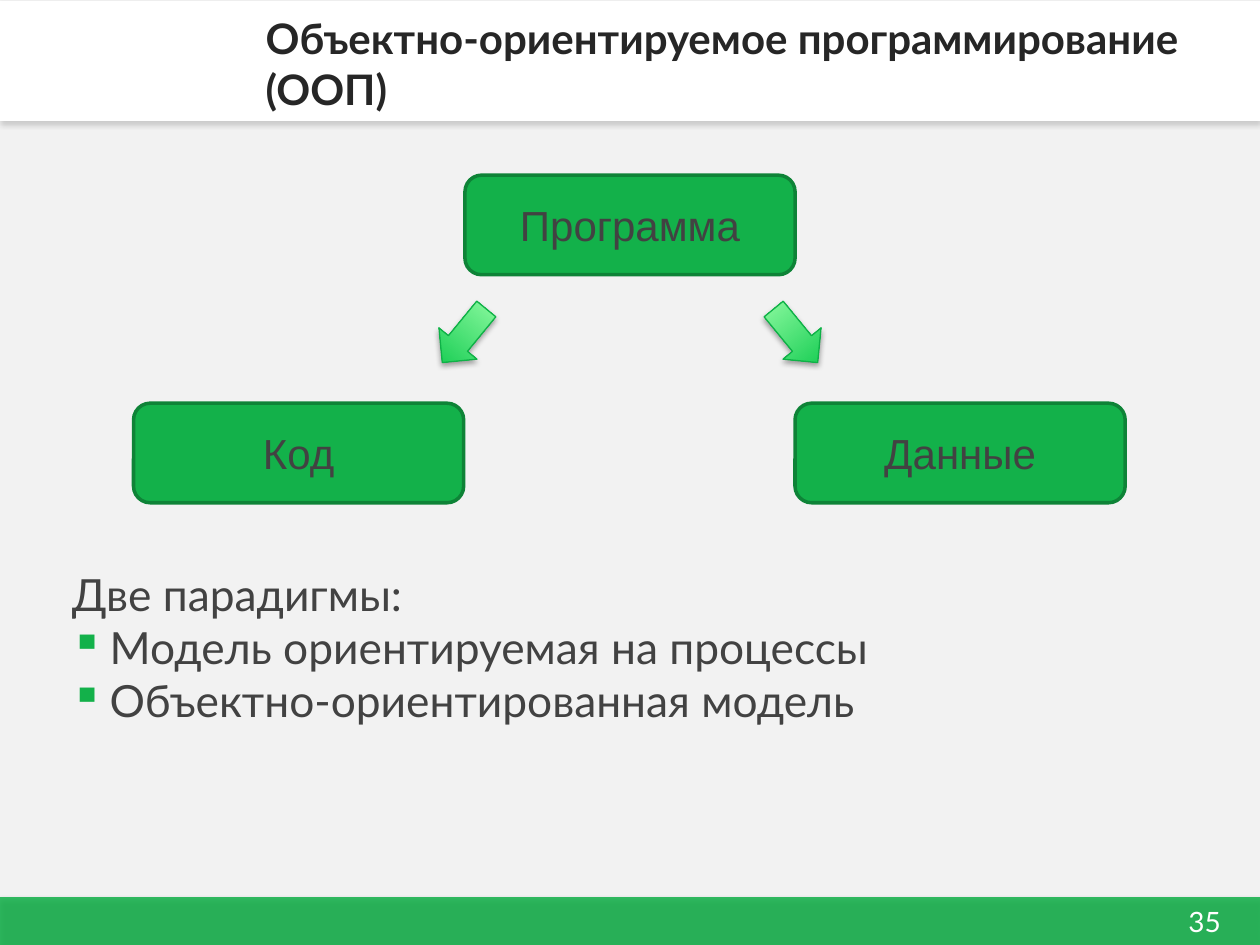
from lxml.etree import SubElement
from pptx import Presentation
from pptx.dml.color import RGBColor
from pptx.enum.shapes import MSO_SHAPE as Shape
from pptx.enum.text import MSO_ANCHOR as Anchor, PP_ALIGN as Align
from pptx.oxml.ns import qn
from pptx.util import Inches, Pt

COLORS = {
    "background": "F2F2F2",
    "white": "FFFFFF",
    "black": "000000",
    "gray": "808080",
    "green": "13B14A",
    "box_line": "0E8337",
    "arrow_line": "0FB147",
    "arrow_dark": "00C444",
    "arrow_light": "9AFFA9",
    "title": "262626",
    "text": "424242",
}


def rgb(name):
    """Return a palette colour."""
    return RGBColor.from_string(COLORS[name])


def add_shape(slide, kind, box, fill=None, line=None, width=1):
    """Add a shape without the default shadow, fill and line."""
    shape = slide.shapes.add_shape(kind, *map(Inches, box))
    shape.shadow.inherit = False
    if fill:
        shape.fill.solid()
        shape.fill.fore_color.rgb = rgb(fill)
    if line:
        shape.line.color.rgb = rgb(line)
        shape.line.width = Pt(width)
    else:
        shape.line.fill.background()
    return shape


def add_shadow(shape, color):
    """Give a shape a soft shadow below it."""
    effects = shape._element.spPr.find(qn("a:effectLst"))
    shadow = SubElement(effects, qn("a:outerShdw"), blurRad="40000",
                        dist="23000", dir="5400000", rotWithShape="0")
    tint = SubElement(shadow, qn("a:srgbClr"), val=COLORS[color])
    SubElement(tint, qn("a:alpha"), val="35000")


def add_run(paragraph, text, size, color, font="Lato", bold=False):
    """Append a formatted run to a paragraph."""
    run = paragraph.add_run()
    run.text = text
    run.font.name = font
    run.font.size = Pt(size)
    run.font.bold = bold
    run.font.color.rgb = rgb(color)


def add_text_frame(slide, box, anchor=Anchor.TOP):
    """Add a wrapping text box and return its frame."""
    frame = slide.shapes.add_textbox(*map(Inches, box)).text_frame
    frame.word_wrap = True
    frame.vertical_anchor = anchor
    return frame


def add_bar(slide, top, height, fill, shadow):
    """Add a shadowed band across the slide."""
    bar = add_shape(slide, Shape.RECTANGLE, (0, top, 10, height), fill)
    add_shadow(bar, shadow)
    return bar


def add_box(slide, left, top, label):
    """Add a labelled box of the diagram."""
    box = add_shape(slide, Shape.ROUNDED_RECTANGLE, (left, top, 2.62, 0.79),
                    "green", "box_line", 2)
    box.text_frame.vertical_anchor = Anchor.MIDDLE
    paragraph = box.text_frame.paragraphs[0]
    paragraph.alignment = Align.CENTER
    add_run(paragraph, label, 24, "text", "Arial")


def add_arrow(slide, left, rotation):
    """Add a tilted gradient arrow."""
    arrow = add_shape(slide, Shape.DOWN_ARROW, (left, 2.39, 0.39, 0.55),
                      line="arrow_line", width=0.75)
    arrow.rotation = rotation
    arrow.fill.gradient()
    arrow.fill.gradient_angle = 90
    for stop, color in zip(arrow.fill.gradient_stops, ("arrow_dark", "arrow_light")):
        stop.color.rgb = rgb(color)
    add_shadow(arrow, "black")


def set_indent(paragraph, margin, indent=0.0, bullet=None):
    """Set the indents of a paragraph and its optional bullet."""
    properties = paragraph._p.get_or_add_pPr()
    properties.set("marL", str(Inches(margin)))
    properties.set("indent", str(Inches(indent)))
    if bullet:
        color = SubElement(properties, qn("a:buClr"))
        SubElement(color, qn("a:srgbClr"), val=COLORS["green"])
        SubElement(properties, qn("a:buChar"), char=bullet)


def add_list(slide, heading, items):
    """Add a heading followed by bulleted items."""
    frame = add_text_frame(slide, (0.5, 4.5, 9, 2.26))
    frame.margin_left = frame.margin_right = 0
    frame.margin_top = frame.margin_bottom = 0
    paragraph = frame.paragraphs[0]
    set_indent(paragraph, 0.07)
    add_run(paragraph, heading, 25.3, "text")
    for item in items:
        paragraph = frame.add_paragraph()
        set_indent(paragraph, 0.37, -0.31, "▪")
        add_run(paragraph, item, 25.3, "text")


def main():
    """Build and save the slide."""
    presentation = Presentation()
    presentation.slide_width = Inches(10)
    presentation.slide_height = Inches(7.5)
    slide = presentation.slides.add_slide(presentation.slide_layouts[6])
    slide.background.fill.solid()
    slide.background.fill.fore_color.rgb = rgb("background")

    footer = add_bar(slide, 7.12, 0.38, "green", "black")
    footer_color = footer._element.spPr.find(qn("a:solidFill"))[0]
    SubElement(footer_color, qn("a:alpha"), val="86000")
    add_bar(slide, 0.01, 0.95, "white", "gray")

    number = add_text_frame(slide, (9.22, 7.13, 0.68, 0.37), Anchor.MIDDLE).paragraphs[0]
    number.alignment = Align.CENTER
    add_run(number, "35", 16, "white")
    title = add_text_frame(slide, (2.01, -0.01, 7.72, 0.96), Anchor.BOTTOM).paragraphs[0]
    add_run(title, "Объектно-ориентируемое программирование (ООП)", 24, "title", bold=True)

    for left, top, label in ((3.69, 1.39, "Программа"), (1.06, 3.2, "Код"),
                             (6.31, 3.2, "Данные")):
        add_box(slide, left, top, label)
    for left, rotation in ((3.49, 39.4), (6.12, 320.6)):
        add_arrow(slide, left, rotation)
    add_list(slide, "Две парадигмы:", ("Модель ориентируемая на процессы",
                                       "Объектно-ориентированная модель"))
    presentation.save("out.pptx")


if __name__ == "__main__":
    main()
